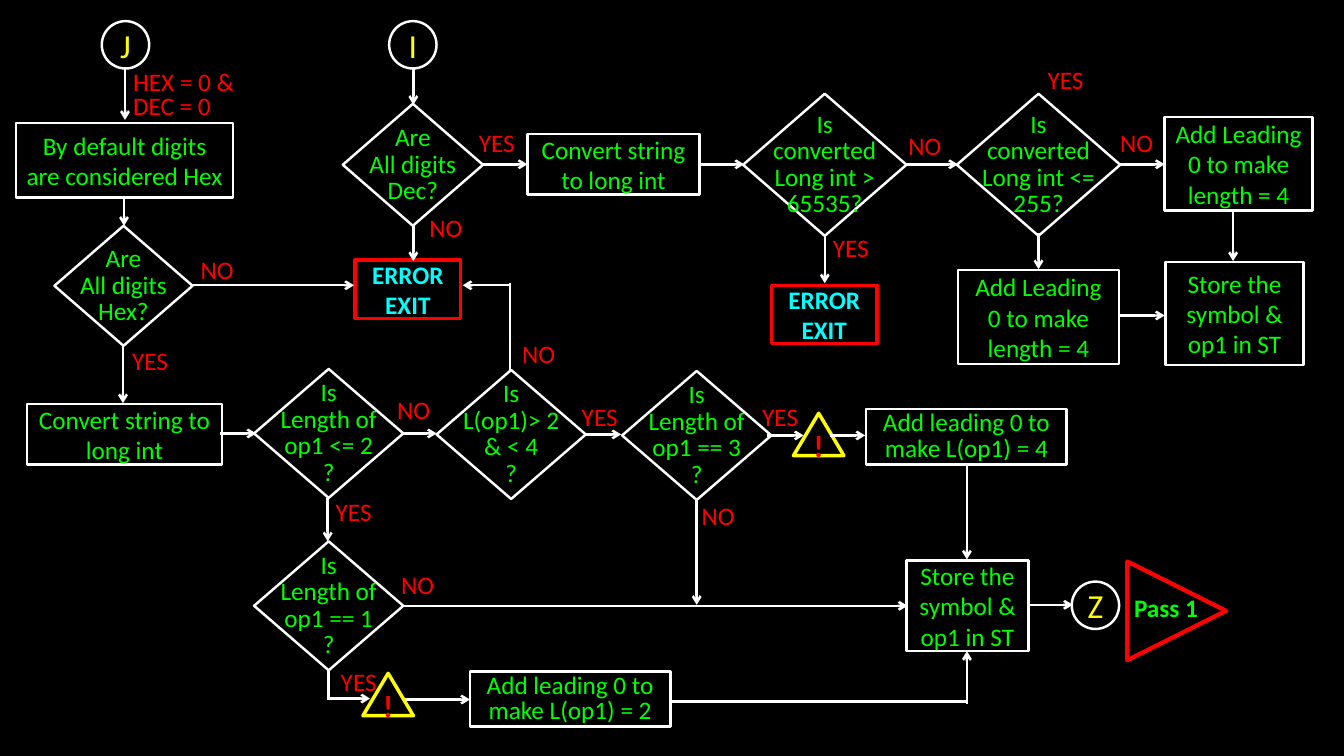
from pptx import Presentation
from pptx.dml.color import RGBColor
from pptx.enum.shapes import MSO_CONNECTOR, MSO_SHAPE
from pptx.enum.text import MSO_ANCHOR, PP_ALIGN
from pptx.oxml.ns import qn
from pptx.util import Inches, Pt
from lxml.etree import SubElement

THEME = {
    "font": "Calibri",
    "black": RGBColor(0, 0, 0),
    "white": RGBColor(255, 255, 255),
    "green": RGBColor(0, 255, 0),
    "red": RGBColor(255, 0, 0),
    "cyan": RGBColor(0, 255, 255),
    "yellow": RGBColor(255, 255, 0),
    "body": Pt(18), "mark": Pt(22), "terminal": Pt(24),
    "thin": Pt(1.75), "thick": Pt(2.5), "heavy": Pt(3),
}

# Each kind: preset shape, outline, outline width, text colour, text size, bold, line spacing
KINDS = {
    "terminal": (MSO_SHAPE.FLOWCHART_CONNECTOR, "white", "thin", "yellow", "terminal", False, None),
    "process": (MSO_SHAPE.RECTANGLE, "white", "thin", "green", "body", False, None),
    "padding": (MSO_SHAPE.RECTANGLE, "white", "thin", "green", "body", False, Pt(18)),
    "error": (MSO_SHAPE.RECTANGLE, "red", "thick", "cyan", "body", True, None),
    "decision": (MSO_SHAPE.DIAMOND, "white", "thin", "green", "body", False, Pt(19)),
    "warning": (MSO_SHAPE.FLOWCHART_EXTRACT, "yellow", "thick", "red", "mark", True, None),
    "pass": (MSO_SHAPE.FLOWCHART_EXTRACT, "red", "heavy", "green", "body", True, None),
    "label": (None, None, None, "red", "body", False, None),
    "caption": (None, None, None, "green", "body", True, None),
}
TIGHT = ("terminal", "decision", "warning", "label")


def grid(*cells):
    """Turn counts of grid cells, a tenth of an inch each, into lengths."""
    return [Inches(cell / 10) for cell in cells]


def write(box, text, kind):
    color, size, bold, spacing = KINDS[kind][3:]
    is_text_box = KINDS[kind][0] is None
    frame = box.text_frame
    frame.word_wrap = is_text_box or kind not in TIGHT
    frame.vertical_anchor = MSO_ANCHOR.TOP if is_text_box else MSO_ANCHOR.MIDDLE
    if kind in TIGHT:
        for side in ("left", "right", "top", "bottom"):
            setattr(frame, f"margin_{side}", 0)
    for index, line in enumerate(text.split("\n")):
        para = frame.add_paragraph() if index else frame.paragraphs[0]
        para.alignment = PP_ALIGN.LEFT if is_text_box else PP_ALIGN.CENTER
        if spacing:
            para.line_spacing = spacing
        span = para.add_run()
        span.text = line
        span.font.color.rgb = THEME[color]
        for name, value in {"name": THEME["font"], "size": THEME[size], "bold": bold}.items():
            setattr(span.font, name, value)


deck = Presentation()
deck.slide_width, deck.slide_height = grid(133.3, 75)
page = deck.slides.add_slide(deck.slide_layouts[6])
page.background.fill.solid()
page.background.fill.fore_color.rgb = THEME["black"]

# Left, top, width and height in grid cells
nodes = [
    ("terminal", "J", 10.1, 2.1, 4.7, 4.7),
    ("terminal", "I", 38.6, 2.1, 4.7, 4.7),
    ("terminal", "Z", 106.3, 57.7, 4.7, 4.7),
    ("process", "By default digits are considered Hex", 1.6, 12.2, 21.5, 7.4),
    ("process", "Convert string to long int", 2.7, 40.1, 19.3, 6),
    ("process", "Convert string\nto long int", 52.3, 13.3, 17.1, 6),
    ("process", "Add Leading 0 to make length = 4", 115.5, 11.6, 14.7, 9.3),
    ("process", "Add Leading 0 to make length = 4", 95, 26.8, 16, 9.3),
    ("process", "Store the symbol & op1 in ST", 115.6, 26, 13.7, 10.2),
    ("process", "Store the symbol & op1 in ST", 89.9, 55.6, 12.1, 9),
    ("padding", "Add leading 0 to make L(op1) = 2", 46.6, 66.6, 19.9, 5.5),
    ("padding", "Add leading 0 to make L(op1) = 4", 85.9, 40.6, 19.9, 5.5),
    ("error", "ERROR\nEXIT", 35.2, 25.8, 10.5, 5.8),
    ("error", "ERROR\nEXIT", 76.5, 28.3, 10.5, 5.8),
    ("decision", "Are\nAll digits\nDec?", 34, 10.3, 13.9, 12.1),
    ("decision", "Are\nAll digits\nHex?", 5.4, 22.4, 13.7, 11.9),
    ("decision", "Is\nconverted\nLong int >\n65535?", 73.7, 9.3, 16.2, 14.1),
    ("decision", "Is\nconverted\nLong int <=\n255?", 94.9, 9.3, 16.2, 14.1),
    ("decision", "Is\nLength of\nop1 <= 2\n?", 25.2, 36.6, 14.8, 12.8),
    ("decision", "Is\nL(op1)> 2\n& < 4\n?", 43.3, 36.7, 14.8, 12.8),
    ("decision", "Is\nLength of\nop1 == 3\n?", 61.7, 36.8, 14.8, 12.8),
    ("decision", "Is\nLength of\nop1 == 1\n?", 25.2, 53.7, 14.8, 12.8),
    ("warning", "!", 36, 66.8, 5, 4.2),
    ("warning", "!", 78.7, 41, 5, 4.2),
    ("pass", "", 111.8, 55.7, 9.8, 9.8),
    ("caption", "Pass 1", 111.5, 58.3, 9.3, 4),
]
label_places = {
    "YES": [(47.5, 12.6), (82.6, 23.1), (103.9, 6.4), (13.1, 34.3), (33.3, 49.2),
            (57.7, 39.8), (33.8, 66.1), (75.6, 39.8)],
    "NO": [(42.6, 21.1), (90.1, 12.9), (111.1, 12.6), (19.9, 25.2), (39.4, 39.1),
           (51.8, 33.6), (69.6, 49.6), (39.8, 56.5)],
    "HEX = 0 &": [(13.2, 6.6)],
    "DEC = 0": [(13.2, 9)],
}
for text, places in label_places.items():
    width = 5.7 if len(text) < 4 else 12.8
    nodes += [("label", text, left, top, width, 3) for left, top in places]

for kind, text, *place in nodes:
    preset, outline, weight = KINDS[kind][:3]
    if preset is None:
        box = page.shapes.add_textbox(*grid(*place))
    else:
        box = page.shapes.add_shape(preset, *grid(*place))
        box.shadow.inherit = False
        box.fill.background()
        box.line.color.rgb = THEME[outline]
        box.line.width = THEME[weight]
    if kind == "pass":
        box.rotation = 90
        box.fill.solid()
        box.fill.fore_color.rgb = THEME["black"]
    if text:
        write(box, text, kind)

# Start and end in grid cells
arrows = [
    (41, 6.8, 41, 10.4), (41, 22.4, 41, 25.9), (47.9, 16.3, 52.3, 16.3),
    (69.5, 16.3, 73.8, 16.3), (89.9, 16.3, 95, 16.3), (111.1, 16.3, 115.5, 16.3),
    (81.8, 23.3, 81.8, 28.1), (103, 23.1, 103, 26.7), (111.1, 31.3, 115.5, 31.3),
    (122.3, 20.8, 122.3, 25.9), (12.4, 6.8, 12.4, 11.9), (12.3, 19.7, 12.3, 22.4),
    (12.2, 34.3, 12.2, 40), (18.9, 28.3, 35.1, 28.3), (50.7, 28.3, 45.9, 28.3),
    (21.8, 43, 25.4, 43), (39.8, 43, 43.3, 43), (58.1, 43.1, 61.6, 43.1),
    (76.1, 43.2, 79.7, 43.2), (82.3, 43.2, 85.8, 43.2), (32.5, 49.4, 32.5, 53.7),
    (69.1, 49.6, 69.1, 60), (40, 60.1, 90, 60.1), (102.1, 60, 106.4, 60),
    (32.4, 69.3, 36.7, 69.3), (40.2, 69.4, 46.6, 69.4),
    (95.9, 46.1, 95.9, 55.5), (95.9, 69.8, 95.9, 64.6),
]
plain_lines = [(50.6, 36.8, 50.6, 28.1), (32.6, 66.5, 32.6, 69.3), (66.5, 69.6, 95.9, 69.6)]
for ends in arrows + plain_lines:
    link = page.shapes.add_connector(MSO_CONNECTOR.STRAIGHT, *grid(*ends))
    link.line.color.rgb = THEME["white"]
    link.line.width = THEME["thin"]
    if ends in arrows:
        SubElement(link.line._get_or_add_ln(), qn("a:tailEnd"), type="arrow")
    SubElement(link._element.spPr, qn("a:effectLst"))

deck.save("out.pptx")
